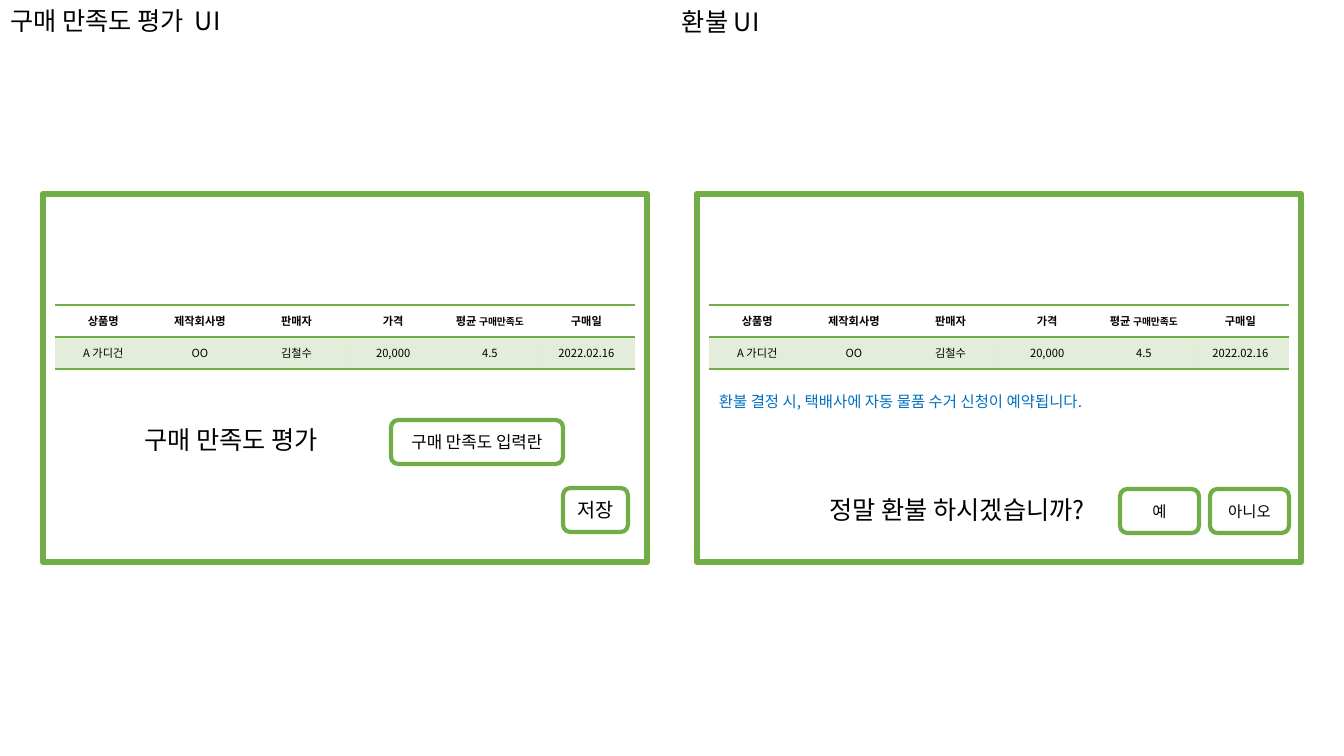
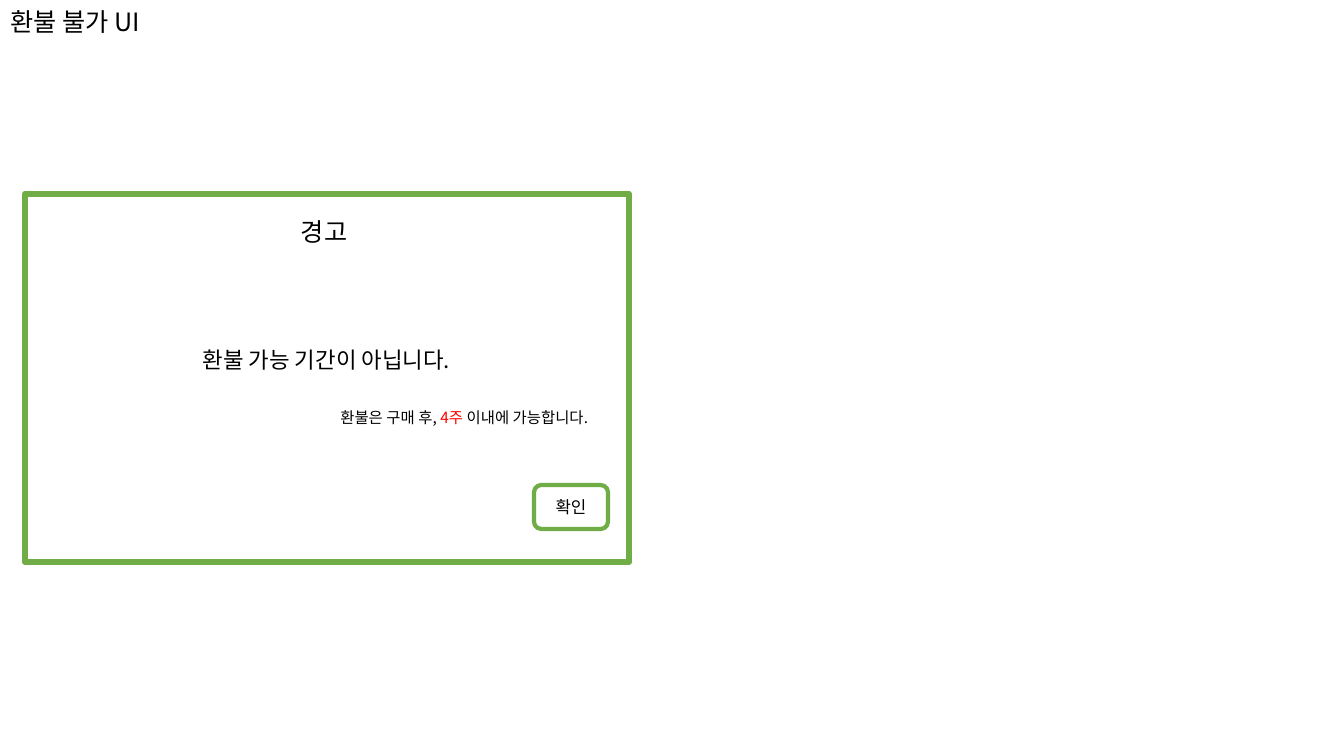
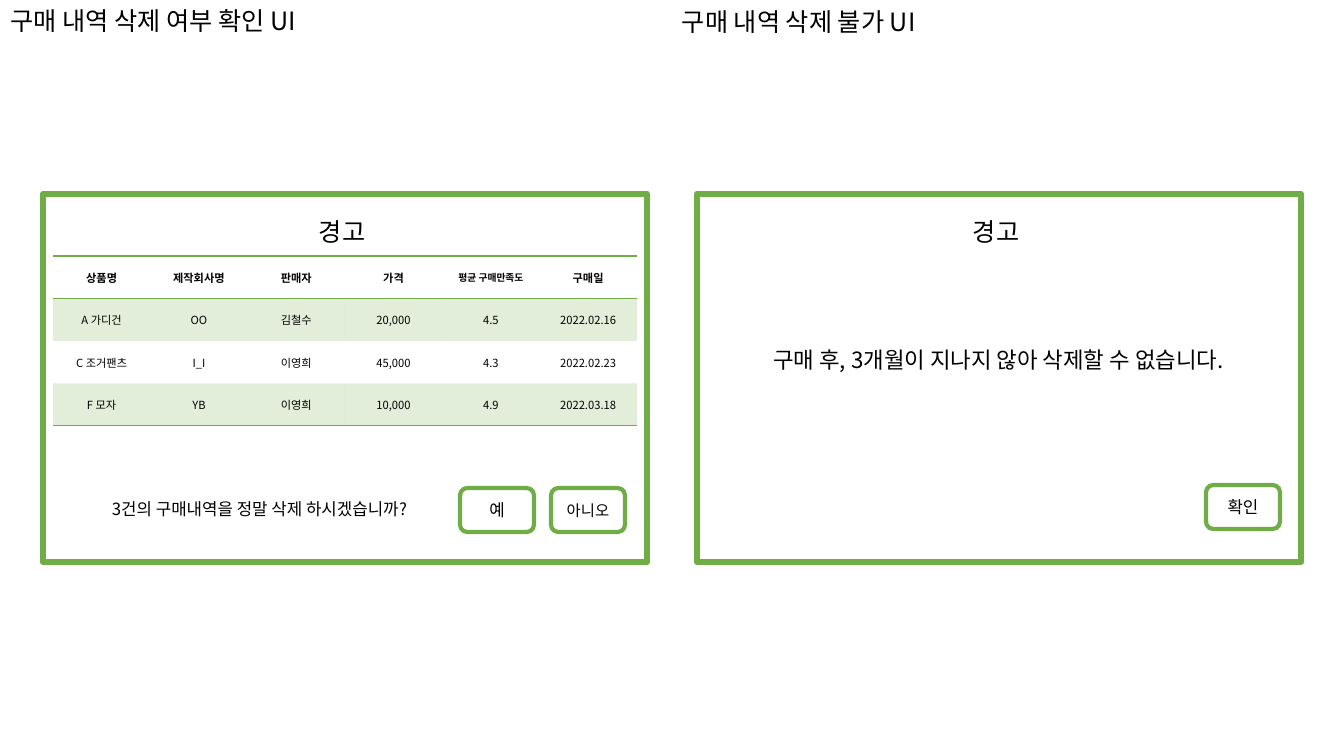
from lxml import etree
from pptx import Presentation
from pptx import util as u
from pptx.dml.color import RGBColor
from pptx.enum import shapes, text
from pptx.oxml import ns

# Shared style
SCALE = 914400 / 100.8
FONT = "Noto Sans CJK KR"
GREEN, WHITE, BLACK, BLUE, RED = "70AD47", "FFFFFF", "000000", "0070C0", "FF0000"
LEFT, CENTER, RIGHT = text.PP_ALIGN.LEFT, text.PP_ALIGN.CENTER, text.PP_ALIGN.RIGHT
TOP, MIDDLE = text.MSO_ANCHOR.TOP, text.MSO_ANCHOR.MIDDLE
PLAIN_TABLE = "{2D5ABB26-0587-4C30-8999-92F81FD0307C}"

# Screen positions
LEFT_SCREEN, RIGHT_SCREEN, ALERT_SCREEN = 43, 697, 25
RIGHT_HEADING = (672, 1, 284, 40)

# Table content
CARDIGAN = ["A 가디건", "OO", "김철수", "20,000", "4.5", "2022.02.16"]
PANTS = ["C 조거팬츠", "I_I", "이영희", "45,000", "4.3", "2022.02.23"]
HAT = ["F 모자", "YB", "이영희", "10,000", "4.9", "2022.03.18"]


def px(*lengths):
    return [u.Emu(round(length * SCALE)) for length in lengths]


def color(code):
    return RGBColor.from_string(code)


def child(parent, tag, **attributes):
    return etree.SubElement(parent, ns.qn(tag), attributes)


def set_all(target, values):
    for name, value in values.items():
        setattr(target, name, value)


# Text
def write(frame, content, size, align=LEFT, code=BLACK, bold=False, anchor=TOP):
    """Content is a string or a list of (string, overrides of size and code)."""
    set_all(frame, {"word_wrap": True, "vertical_anchor": anchor})
    paragraph = frame.paragraphs[0]
    paragraph.alignment = align
    runs = [(content, {})] if isinstance(content, str) else content
    for words, changes in runs:
        run = paragraph.add_run()
        run.text = words
        set_all(run.font, {"name": FONT, "bold": bold,
                           "size": u.Pt(changes.get("size", size))})
        run.font.color.rgb = color(changes.get("code", code))
        child(run.font._element, "a:ea", typeface=FONT)


def add_label(slide, box, content, size=18, align=LEFT, code=BLACK):
    label = slide.shapes.add_textbox(*px(*box))
    write(label.text_frame, content, size, align, code)
    label.text_frame.auto_size = text.MSO_AUTO_SIZE.SHAPE_TO_FIT_TEXT


def add_titled_slide(presentation, words, width=284, top=0):
    slide = presentation.slides.add_slide(presentation.slide_layouts[5])
    title = slide.shapes.title
    set_all(title, dict(zip(("left", "top", "width", "height"), px(0, top, width, 40))))
    write(title.text_frame, words, 18)
    title.text_frame.auto_size = text.MSO_AUTO_SIZE.NONE
    return slide


# Shapes
def add_outlined(slide, kind, box, line_width):
    shape = slide.shapes.add_shape(kind, *px(*box))
    shape.shadow.inherit = False
    shape.fill.solid()
    shape.fill.fore_color.rgb = color(WHITE)
    shape.line.color.rgb = color(GREEN)
    shape.line.width = u.Pt(line_width)
    return shape


def add_screen(slide, left):
    add_outlined(slide, shapes.MSO_SHAPE.RECTANGLE, (left, 194, 604, 368), 4.5)


def add_button(slide, box, words, size):
    button = add_outlined(slide, shapes.MSO_SHAPE.ROUNDED_RECTANGLE, box, 3)
    write(button.text_frame, words, size, CENTER, anchor=MIDDLE)


def add_warning_title(slide, screen):
    add_label(slide, (screen + 160, 211, 284, 40), "경고 ", align=CENTER)


def add_warning(slide, screen, message):
    add_screen(slide, screen)
    add_warning_title(slide, screen)
    add_label(slide, (screen + 30, 341, 543, 37), message, 16, CENTER)
    add_button(slide, (screen + 509, 485, 74, 44), "확인", 12)


# Tables
def add_border(properties, side):
    line = child(properties, side, w=str(u.Pt(1)))
    child(child(line, "a:solidFill"), "a:srgbClr", val=GREEN)


def format_cell(cell, is_header, is_last, is_shaded):
    properties = cell._tc.get_or_add_tcPr()
    if is_header:
        add_border(properties, "a:lnT")
    if is_header or is_last:
        add_border(properties, "a:lnB")
    if is_shaded:
        cell.fill.solid()
        cell.fill.fore_color.rgb = color(GREEN)
        tint = properties.find(ns.qn("a:solidFill"))
        child(tint[0], "a:alpha", val="20000")
    else:
        cell.fill.background()


def add_purchases(slide, box, satisfaction, purchases):
    header = ["상품명", "제작회사명", "판매자", "가격", satisfaction, "구매일"]
    rows = [header, *purchases]
    table = slide.shapes.add_table(len(rows), len(header), *px(*box)).table
    set_all(table, {"first_row": False, "horz_banding": False})
    table._tbl.tblPr.find(ns.qn("a:tableStyleId")).text = PLAIN_TABLE
    for row, values in enumerate(rows):
        for column, value in enumerate(values):
            cell = table.cell(row, column)
            write(cell.text_frame, value, 8, CENTER, bold=row == 0)
            cell.vertical_anchor = MIDDLE
            format_cell(cell, row == 0, row == len(rows) - 1, row % 2 == 1)


def add_single_purchase(slide, screen):
    add_screen(slide, screen)
    satisfaction = [("평균 ", {}), ("구매만족도", {"size": 7})]
    add_purchases(slide, (screen + 12, 305, 580, 64), satisfaction, [CARDIGAN])


# Slides
def add_rating_and_refund(presentation):
    slide = add_titled_slide(presentation, "구매 만족도 평가  UI")
    add_label(slide, RIGHT_HEADING, "환불 UI")

    add_single_purchase(slide, LEFT_SCREEN)
    add_label(slide, (92, 419, 284, 40), "구매 만족도 평가 ", align=CENTER)
    add_button(slide, (391, 420, 172, 44), "구매 만족도 입력란", 12)
    add_button(slide, (563, 488, 65, 44), "저장", 14)

    add_single_purchase(slide, RIGHT_SCREEN)
    add_label(slide, (709, 387, 545, 29),
              "환불 결정 시, 택배사에 자동 물품 수거 신청이 예약됩니다.", 11, code=BLUE)
    add_label(slide, (806, 489, 302, 40), "정말 환불 하시겠습니까?", align=CENTER)
    for left, answer in ((1120, "예"), (1210, "아니오")):
        add_button(slide, (left, 489, 79, 44), answer, 11)


def add_refund_refused(presentation):
    slide = add_titled_slide(presentation, "환불 불가 UI", top=1)
    add_warning(slide, ALERT_SCREEN, "환불 가능 기간이 아닙니다.")
    period = [("환불은 구매 후, ", {}), ("4주 ", {"code": RED}), ("이내에 가능합니다.", {})]
    add_label(slide, (55, 403, 543, 29), period, 11, RIGHT)


def add_deletion(presentation):
    slide = add_titled_slide(presentation, "구매 내역 삭제 여부 확인 UI", width=350)
    add_label(slide, RIGHT_HEADING, "구매 내역 삭제 불가 UI")

    add_screen(slide, LEFT_SCREEN)
    add_warning_title(slide, LEFT_SCREEN)
    add_purchases(slide, (53, 256, 584, 170), [("평균 구매만족도", {"size": 7})],
                  [CARDIGAN, PANTS, HAT])
    add_label(slide, (102, 494, 350, 30), "3건의 구매내역을 정말 삭제 하시겠습니까?", 12)
    for left, answer, size in ((460, "예", 12), (551, "아니오", 11)):
        add_button(slide, (left, 488, 74, 44), answer, size)

    add_warning(slide, RIGHT_SCREEN, "구매 후, 3개월이 지나지 않아 삭제할 수 없습니다.")


def main():
    presentation = Presentation()
    set_all(presentation, dict(zip(("slide_width", "slide_height"), px(1344, 756))))
    add_rating_and_refund(presentation)
    add_refund_refused(presentation)
    add_deletion(presentation)
    presentation.save("out.pptx")


main()
